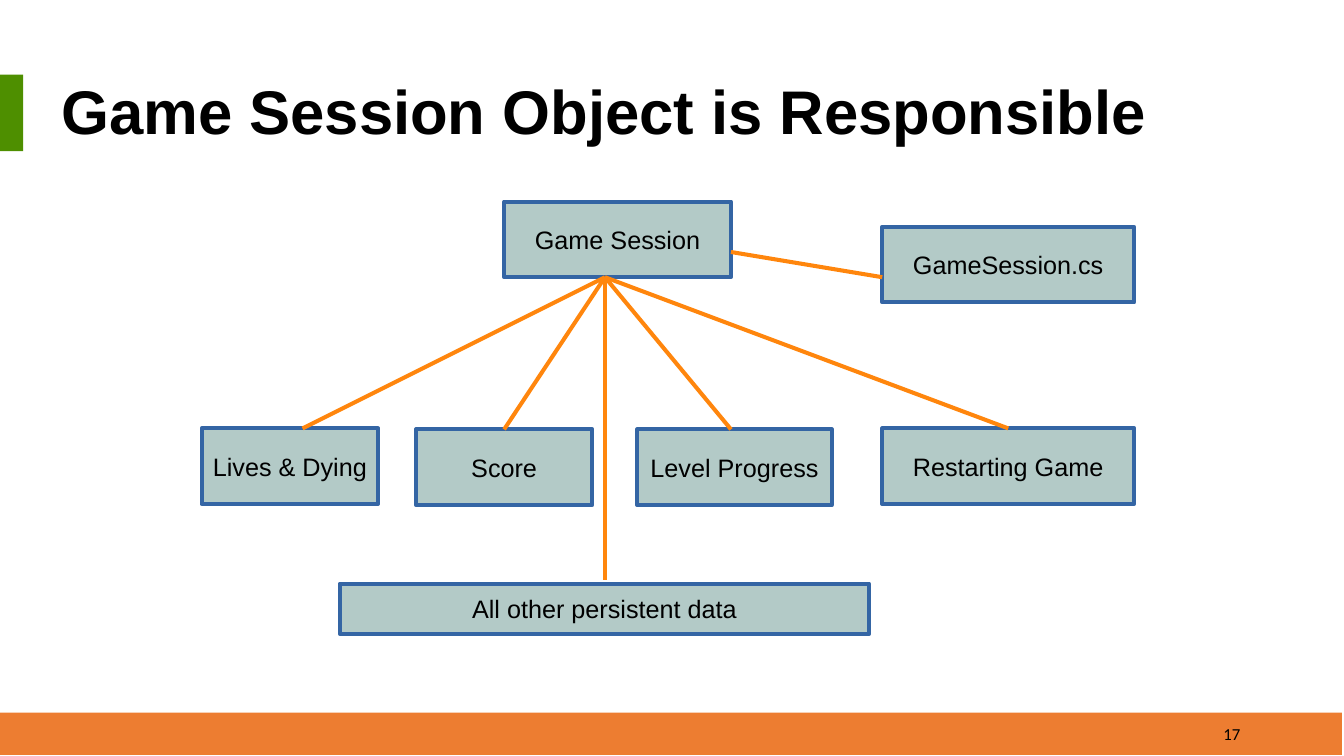
import pptx
import pptx.util
import pptx.dml.color
import pptx.enum.shapes
import pptx.enum.text
import pptx.oxml.ns
import lxml.etree

Rgb = pptx.dml.color.RGBColor
Align = pptx.enum.text.PP_ALIGN
RECT = pptx.enum.shapes.MSO_SHAPE.RECTANGLE
LINE = pptx.enum.shapes.MSO_CONNECTOR.STRAIGHT

BLACK = Rgb(0x00, 0x00, 0x00)
ORANGE = Rgb(0xED, 0x7D, 0x31)
GREEN = Rgb(0x4E, 0x8F, 0x00)
SAGE = Rgb(0xB3, 0xCA, 0xC7)
BLUE = Rgb(0x34, 0x65, 0xA4)
AMBER = Rgb(0xFF, 0x86, 0x0D)

UNIT = 0.25  # inches per grid step
STROKE = pptx.util.Pt(2.89)


def grid(*steps):
    return [pptx.util.Inches(step * UNIT) for step in steps]


def write(shape, text, size=18, font="Arial", bold=False, align=Align.CENTER):
    frame = shape.text_frame
    frame.word_wrap = True
    frame.vertical_anchor = pptx.enum.text.MSO_ANCHOR.MIDDLE
    para = frame.paragraphs[0]
    para.alignment = align
    run = para.add_run()
    run.text = text
    run.font.size = pptx.util.Pt(size)
    run.font.name = font
    run.font.bold = bold
    run.font.color.rgb = BLACK
    return para


deck = pptx.Presentation()
deck.slide_width = pptx.util.Inches(13.33)
deck.slide_height = pptx.util.Inches(7.5)
slide = deck.slides.add_slide(deck.slide_layouts[6])
shapes = slide.shapes

# Footer band and title accent
for place, color in [((0, 28.28, 53.24, 1.68), ORANGE),
                     ((0, 2.96, 0.92, 3.04), GREEN)]:
    band = shapes.add_shape(RECT, *grid(*place))
    band.shadow.inherit = False
    band.fill.solid()
    band.fill.fore_color.rgb = color
    band.line.fill.background()

# Title
title = shapes.add_textbox(*grid(1, 3, 51.68, 3.08))
para = write(title, "Game Session Object is Responsible",
             size=44, bold=True, align=Align.LEFT)
para.line_spacing = 0.9
para._p.get_or_add_pPr().set("marL", str(pptx.util.Inches(0.26)))

# Boxes: left, top, width, height in grid steps
nodes = {
    "Game Session": (20, 8, 9, 3),
    "GameSession.cs": (35, 9, 10, 3),
    "Lives & Dying": (8, 17, 7, 3),
    "Score": (16.5, 17.04, 7, 3),
    "Level Progress": (25.28, 17.04, 7.72, 3),
    "Restarting Game": (35, 17, 10, 3),
    "All other persistent data": (13.48, 23.16, 21, 2),
}
boxes = {}
for text, place in nodes.items():
    box = shapes.add_shape(RECT, *grid(*place))
    box.shadow.inherit = False
    box.fill.solid()
    box.fill.fore_color.rgb = SAGE
    box.line.color.rgb = BLUE
    box.line.width = STROKE
    write(box, text)
    boxes[text] = box

# Links: start, end, and the box whose top middle the end joins
root = (24, 11)
links = [
    ((29, 10), (35, 11), None),
    (root, (12, 17), None),
    (root, (20, 17.04), "Score"),
    (root, (29, 17.04), None),
    (root, (40, 17), "Restarting Game"),
    (root, (24, 23), None),
]
for start, end, goal in links:
    link = shapes.add_connector(LINE, *grid(*start, *end))
    link.line.color.rgb = AMBER
    link.line.width = STROKE
    lxml.etree.SubElement(link._element.spPr, pptx.oxml.ns.qn("a:effectLst"))
    if goal:
        link.end_connect(boxes[goal], 0)

# Slide number
number = shapes.add_textbox(*grid(37.68, 28.36, 11.92, 1.52))
write(number, "17", size=12, font="Calibri", align=Align.RIGHT)

deck.save("out.pptx")
